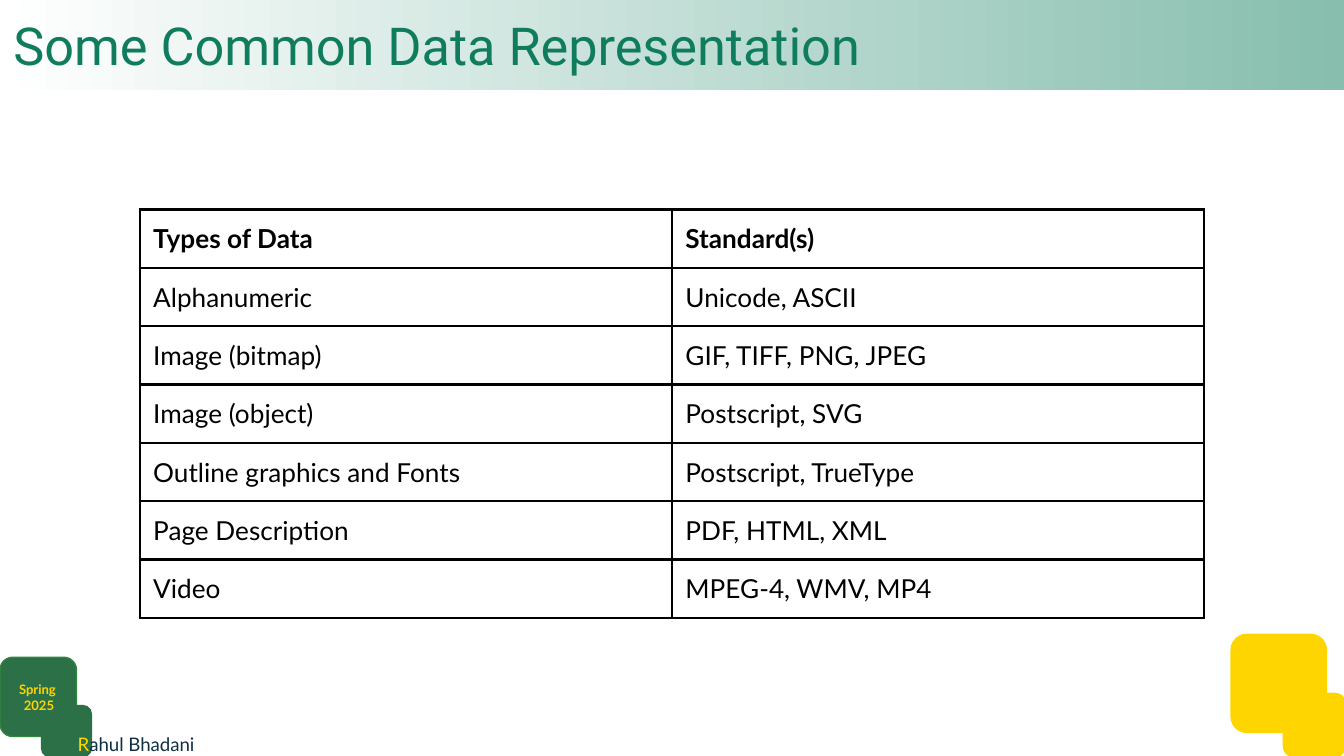
"""Build a slide with a table of common data representation standards."""
import pptx
import pptx.dml.color
import pptx.enum.shapes
import pptx.enum.text
import pptx.oxml
import pptx.oxml.ns
import pptx.util

Inches = pptx.util.Inches
Pt = pptx.util.Pt

TITLE = "Some Common Data Representation"
GREEN, YELLOW, NAVY, BLACK = "0F7D5D", "FFD500", "0E3042", "000000"
ROWS = [
    ("Types of Data", "Standard(s)"),
    ("Alphanumeric", "Unicode, ASCII"),
    ("Image (bitmap)", "GIF, TIFF, PNG, JPEG"),
    ("Image (object)", "Postscript, SVG"),
    ("Outline graphics and Fonts", "Postscript, TrueType"),
    ("Page Description", "PDF, HTML, XML"),
    ("Video", "MPEG-4, WMV, MP4"),
]
CORNER_BLOCKS = [
    ((9.16, 4.72, 0.71, 0.73), YELLOW, YELLOW),
    ((9.55, 5.16, 0.46, 0.47), YELLOW, YELLOW),
    ((0, 4.89, 0.57, 0.59), "2C7048", "34863E"),
    ((0.31, 5.25, 0.37, 0.38), "2C7048", "2C7048"),
]
AUTHOR = [[("R", YELLOW), ("ahul Bhadani", NAVY)]]
TERM = [[("Spring ", YELLOW)], [("2025", YELLOW)]]
SLIDE_WIDTH = 10
SLIDE_HEIGHT = SLIDE_WIDTH * 9 / 16
TABLE_LEFT, TABLE_TOP, COLUMN_WIDTH, ROW_HEIGHT = 1.04, 1.56, 3.96, 0.42


def set_color(color_format, value):
    color_format.rgb = pptx.dml.color.RGBColor.from_string(value)


def set_margins(text_frame):
    text_frame.margin_left = text_frame.margin_right = Inches(0.1)
    text_frame.margin_top = text_frame.margin_bottom = Inches(0.1)


def add_run(paragraph, text, size, color, font_name="Lato", bold=False):
    run = paragraph.add_run()
    run.text = text
    run.font.size = Pt(size)
    run.font.name = font_name
    run.font.bold = bold
    set_color(run.font.color, color)


def add_block(slide, box, fill, line):
    kind = pptx.enum.shapes.MSO_SHAPE.FLOWCHART_ALTERNATE_PROCESS
    shape = slide.shapes.add_shape(kind, *map(Inches, box))
    shape.shadow.inherit = False
    shape.fill.solid()
    set_color(shape.fill.fore_color, fill)
    set_color(shape.line.color, line)
    shape.line.width = Pt(0.75)


def add_label(slide, box, lines, size, alignment, bold=False):
    text_frame = slide.shapes.add_textbox(*map(Inches, box)).text_frame
    text_frame.word_wrap = True
    set_margins(text_frame)
    for index, runs in enumerate(lines):
        paragraph = text_frame.add_paragraph() if index else text_frame.paragraphs[0]
        paragraph.alignment = alignment
        for text, color in runs:
            add_run(paragraph, text, size, color, bold=bold)


def format_title(slide):
    title = slide.shapes.title
    title.left, title.top, title.width, title.height = map(Inches, (0, 0, SLIDE_WIDTH, 0.67))
    title.fill.gradient()
    title.fill.gradient_angle = 0
    for stop, color, position in zip(title.fill.gradient_stops, ("FFFFFF", "87BEAE"), (0, 1)):
        set_color(stop.color, color)
        stop.position = position
    text_frame = title.text_frame
    set_margins(text_frame)
    text_frame.auto_size = pptx.enum.text.MSO_AUTO_SIZE.NONE
    text_frame.vertical_anchor = pptx.enum.text.MSO_ANCHOR.MIDDLE
    paragraph = text_frame.paragraphs[0]
    paragraph.alignment = pptx.enum.text.PP_ALIGN.LEFT
    add_run(paragraph, TITLE, 28, GREEN, "Roboto")


def add_borders(cell, color, width):
    properties = cell._tc.get_or_add_tcPr()
    for index, side in enumerate(("lnL", "lnR", "lnT", "lnB")):
        border = pptx.oxml.parse_xml(
            f'<a:{side} {pptx.oxml.ns.nsdecls("a")} w="{Pt(width)}">'
            f'<a:solidFill><a:srgbClr val="{color}"/></a:solidFill></a:{side}>'
        )
        properties.insert(index, border)


def add_standards_table(slide):
    column_count = len(ROWS[0])
    size = (COLUMN_WIDTH * column_count, ROW_HEIGHT * len(ROWS))
    frame = slide.shapes.add_table(
        len(ROWS), column_count, *map(Inches, (TABLE_LEFT, TABLE_TOP, *size))
    )
    table = frame.table
    table.first_row = table.horz_banding = False
    for row_index, row in enumerate(ROWS):
        for column_index, text in enumerate(row):
            cell = table.cell(row_index, column_index)
            set_margins(cell)
            cell.fill.background()
            add_borders(cell, BLACK, 1.5)
            add_run(cell.text_frame.paragraphs[0], text, 14, BLACK, bold=row_index == 0)


def main():
    presentation = pptx.Presentation()
    presentation.slide_width = Inches(SLIDE_WIDTH)
    presentation.slide_height = Inches(SLIDE_HEIGHT)
    slide = presentation.slides.add_slide(presentation.slide_layouts[5])
    for block in CORNER_BLOCKS:
        add_block(slide, *block)
    alignments = pptx.enum.text.PP_ALIGN
    add_label(slide, (0.48, 5.37, 1.24, 0.29), AUTHOR, 10, alignments.LEFT)
    add_label(slide, (0, 4.97, 0.58, 0.29), TERM, 7, alignments.CENTER, bold=True)
    format_title(slide)
    add_standards_table(slide)
    presentation.save("out.pptx")


if __name__ == "__main__":
    main()
